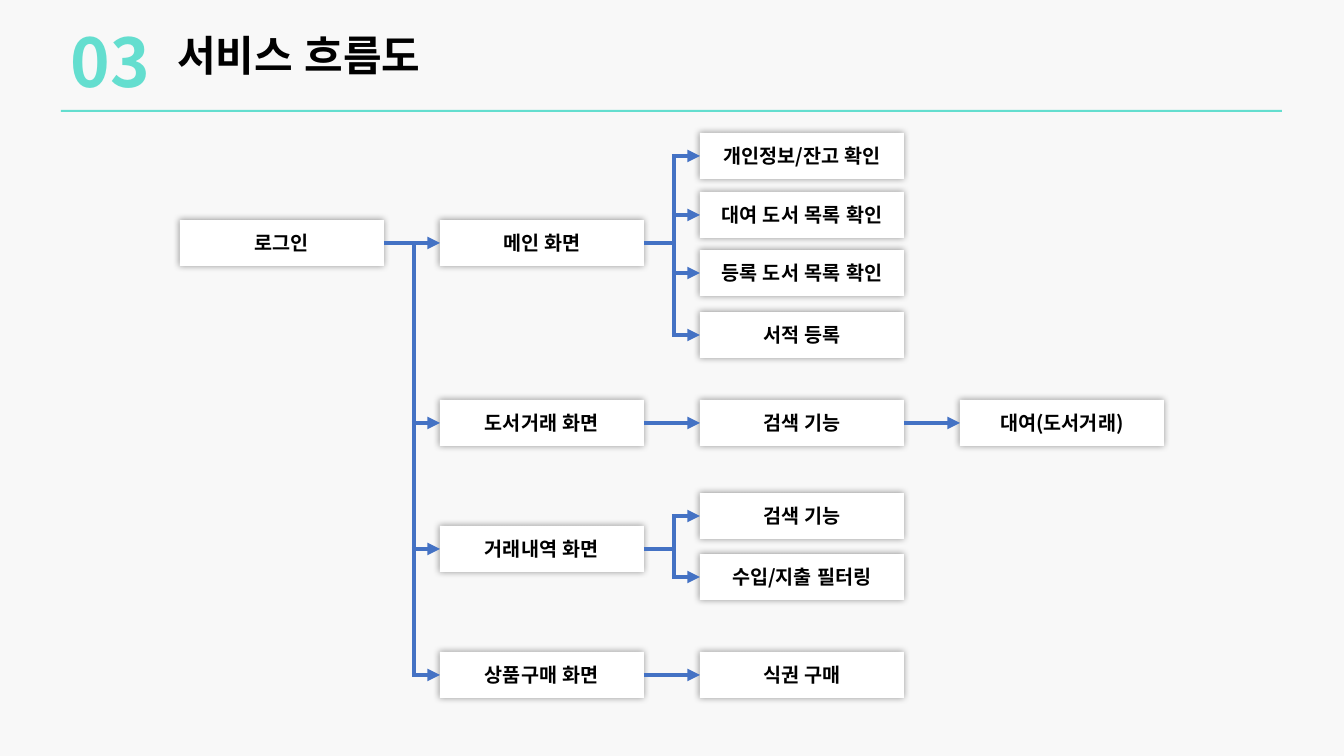
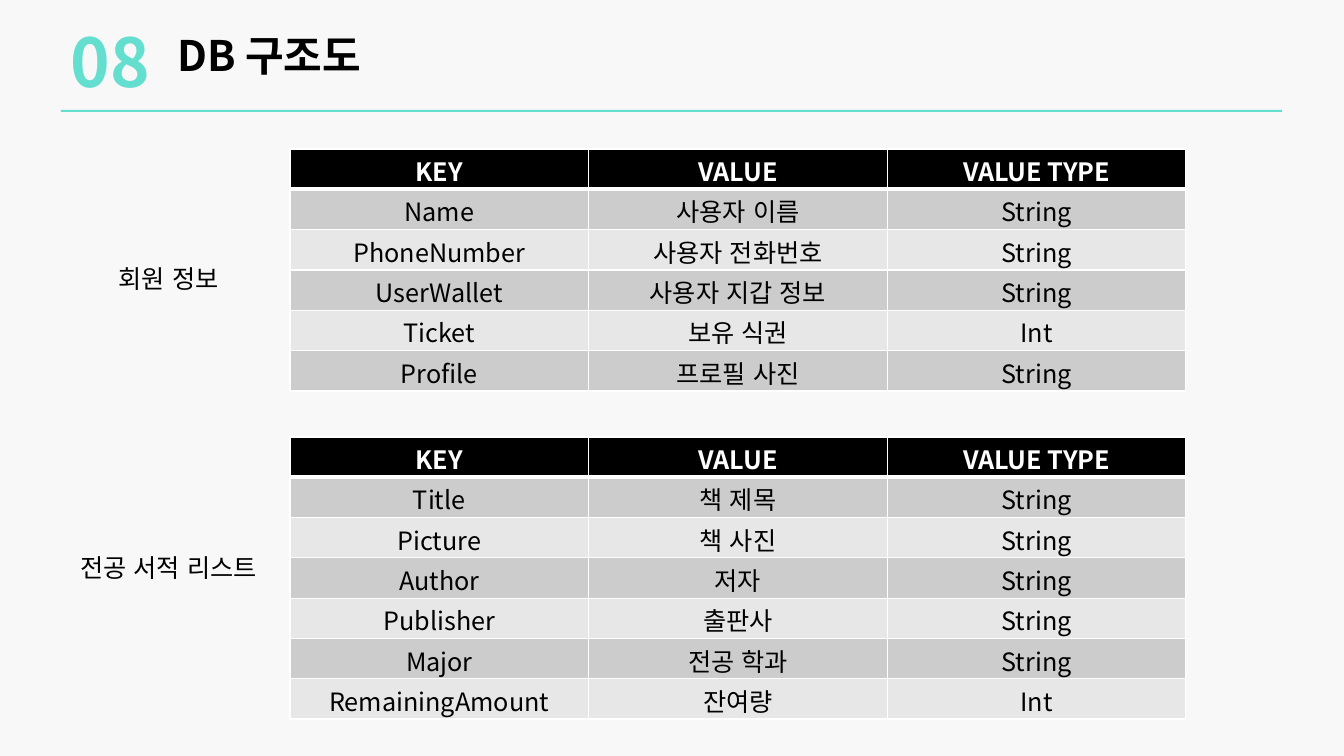
from lxml.etree import SubElement
from pptx import Presentation
from pptx.dml.color import RGBColor
from pptx.enum.lang import MSO_LANGUAGE_ID
from pptx.enum.shapes import MSO_CONNECTOR, MSO_SHAPE
from pptx.enum.text import MSO_ANCHOR, MSO_AUTO_SIZE, PP_ALIGN
from pptx.oxml.ns import qn
from pptx.util import Emu, Pt

BACKDROP = RGBColor(0xF8, 0xF8, 0xF8)
MINT = RGBColor(0x64, 0xDE, 0xCF)
BLUE = RGBColor(0x44, 0x72, 0xC4)
BLACK = RGBColor(0x00, 0x00, 0x00)
WHITE = RGBColor(0xFF, 0xFF, 0xFF)
STRIPES = (RGBColor(0xCC, 0xCC, 0xCC), RGBColor(0xE7, 0xE7, 0xE7))
FONT = "Noto Sans CJK KR"

SLIDE_WIDTH, SLIDE_HEIGHT = 1344, 756
EMU_PER_PX = 12192000 / SLIDE_WIDTH

# Each step: text, top, following steps
FLOW = ("로그인", 220, [
    ("메인 화면", 220, [
        ("개인정보/잔고 확인", 133, []),
        ("대여 도서 목록 확인", 192, []),
        ("등록 도서 목록 확인", 250, []),
        ("서적 등록", 312, []),
    ]),
    ("도서거래 화면", 400, [
        ("검색 기능", 400, [("대여(도서거래)", 400, [])]),
    ]),
    ("거래내역 화면", 526, [
        ("검색 기능", 493, []),
        ("수입/지출 필터링", 554, []),
    ]),
    ("상품구매 화면", 652, [("식권 구매", 652, [])]),
])
FLOW_LEFT, COLUMN_PITCH = 180, 260
STEP_WIDTH, STEP_HEIGHT = 204, 46
TRUNK_OFFSET, HALF_LINE = 30, 2

HEADER = ("KEY", "VALUE", "VALUE TYPE")
# Each entity: name, label top, table top, table height, fields
ENTITIES = [
    ("회원 정보", 258, 149, 242, [
        ("Name", "사용자 이름", "String"),
        ("PhoneNumber", "사용자 전화번호", "String"),
        ("UserWallet", "사용자 지갑 정보", "String"),
        ("Ticket", "보유 식권", "Int"),
        ("Profile", "프로필 사진", "String"),
    ]),
    ("전공 서적 리스트", 547, 437, 282, [
        ("Title", "책 제목", "String"),
        ("Picture", "책 사진", "String"),
        ("Author", "저자", "String"),
        ("Publisher", "출판사", "String"),
        ("Major", "전공 학과", "String"),
        ("RemainingAmount", "잔여량", "Int"),
    ]),
]


def px(*lengths):
    return [Emu(round(length * EMU_PER_PX)) for length in lengths]


def write(frame, text, *, size, color=BLACK, bold=False, align=PP_ALIGN.CENTER):
    para = frame.paragraphs[0]
    para.alignment = align
    span = para.add_run()
    span.text = text
    font = span.font
    font.size, font.bold, font.name = Pt(size), bold, FONT
    font.color.rgb = color
    font.language_id = MSO_LANGUAGE_ID.KOREAN
    SubElement(span._r.get_or_add_rPr(), qn("a:ea"), typeface=FONT)


def center_vertically(holder, top=0):
    """Works on a text frame and on a table cell."""
    holder.vertical_anchor = MSO_ANCHOR.MIDDLE
    holder.margin_top, holder.margin_bottom = px(top, 0)


def add_text(page, bounds, text, **text_format):
    frame = page.shapes.add_textbox(*px(*bounds)).text_frame
    frame.word_wrap = True
    center_vertically(frame)
    write(frame, text, **text_format)


def add_box(page, bounds, color):
    box = page.shapes.add_shape(MSO_SHAPE.RECTANGLE, *px(*bounds))
    box.shadow.inherit = False
    box.fill.solid()
    box.fill.fore_color.rgb = color
    box.line.fill.background()
    return box


def add_page(deck, number, title, title_width):
    page = deck.slides.add_slide(deck.slide_layouts.get_by_name("Title Only"))
    add_box(page, (61, 110, 1221, 2), MINT)
    add_text(page, (61, 10, 529, 102), number, size=48, color=MINT, bold=True,
             align=PP_ALIGN.LEFT)
    heading = page.shapes.title
    heading.left, heading.top, heading.width, heading.height = px(167, 23, title_width, 64)
    frame = heading.text_frame
    frame.word_wrap = False
    frame.auto_size = MSO_AUTO_SIZE.NONE
    center_vertically(frame)
    write(frame, title, size=30, bold=True, align=PP_ALIGN.LEFT)
    return page


def add_line(page, start, end, *, source=None, target=None, arrow=False):
    line = page.shapes.add_connector(MSO_CONNECTOR.STRAIGHT, *px(*start, *end))
    line.line.color.rgb = BLUE
    line.line.width = Pt(3)
    properties = line._element.spPr
    if arrow:
        SubElement(properties.find(qn("a:ln")), qn("a:tailEnd"), type="triangle")
    SubElement(properties, qn("a:effectLst"))
    if source is not None:
        line.begin_connect(source, 3)
    if target is not None:
        line.end_connect(target, 1)


def add_step_box(page, text, left, top):
    box = add_box(page, (left, top, STEP_WIDTH, STEP_HEIGHT), WHITE)
    effects = box._element.spPr.find(qn("a:effectLst"))
    shadow = SubElement(effects, qn("a:outerShdw"), blurRad=str(Pt(5)), dist="0",
                        algn="ctr", rotWithShape="0")
    shade = SubElement(shadow, qn("a:srgbClr"), val=str(BLACK))
    SubElement(shade, qn("a:alpha"), val="40000")
    center_vertically(box.text_frame)
    write(box.text_frame, text, size=14, bold=True)
    return box


def add_flow(page, step, depth=0):
    """Draw a step, all that follows it and the lines between; return its box."""
    text, top, followers = step
    left = FLOW_LEFT + depth * COLUMN_PITCH
    box = add_step_box(page, text, left, top)
    targets = [(add_flow(page, follower, depth + 1), follower[1] + STEP_HEIGHT / 2)
               for follower in followers]
    right, middle = left + STEP_WIDTH, top + STEP_HEIGHT / 2
    next_left = left + COLUMN_PITCH
    trunk = right + TRUNK_OFFSET
    levels = [middle] + [level for _, level in targets]
    if max(levels) > min(levels):
        add_line(page, (trunk, min(levels)), (trunk, max(levels)))
        if middle not in levels[1:]:
            add_line(page, (right, middle), (trunk, middle), source=box)
    for target, level in targets:
        if level == middle:
            add_line(page, (right, level), (next_left, level),
                     source=box, target=target, arrow=True)
        else:
            add_line(page, (trunk - HALF_LINE, level), (next_left, level),
                     target=target, arrow=True)
    return box


def set_borders(cell, **widths):
    """Give the cell white borders; widths in points by side: L, R, T, B."""
    properties = cell._tc.get_or_add_tcPr()
    for side, width in widths.items():
        border = SubElement(properties, qn(f"a:ln{side}"), w=str(Pt(width)))
        fill = SubElement(border, qn("a:solidFill"))
        SubElement(fill, qn("a:srgbClr"), val=str(WHITE))


def add_entity(page, name, label_top, top, height, fields):
    rows = [HEADER, *fields]
    bounds = px(290, top, 896, height)
    table = page.shapes.add_table(len(rows), len(HEADER), *bounds).table
    for row, values in enumerate(rows):
        is_header = row == 0
        for column, value in enumerate(values):
            cell = table.cell(row, column)
            set_borders(cell, L=1, R=1, T=3 if row == 1 else 1, B=3 if is_header else 1)
            cell.fill.solid()
            cell.fill.fore_color.rgb = BLACK if is_header else STRIPES[(row - 1) % 2]
            center_vertically(cell, top=3)
            write(cell.text_frame, value, size=18, bold=is_header,
                  color=WHITE if is_header else BLACK)
    add_text(page, (61, label_top, 215, 40), name, size=18)


def main():
    deck = Presentation()
    deck.slide_width, deck.slide_height = px(SLIDE_WIDTH, SLIDE_HEIGHT)
    backdrop = deck.slide_master.background.fill
    backdrop.solid()
    backdrop.fore_color.rgb = BACKDROP

    add_flow(add_page(deck, "03", "서비스 흐름도", 280), FLOW)

    database_page = add_page(deck, "08", "DB 구조도", 215)
    for entity in ENTITIES:
        add_entity(database_page, *entity)

    deck.save("out.pptx")


if __name__ == "__main__":
    main()
